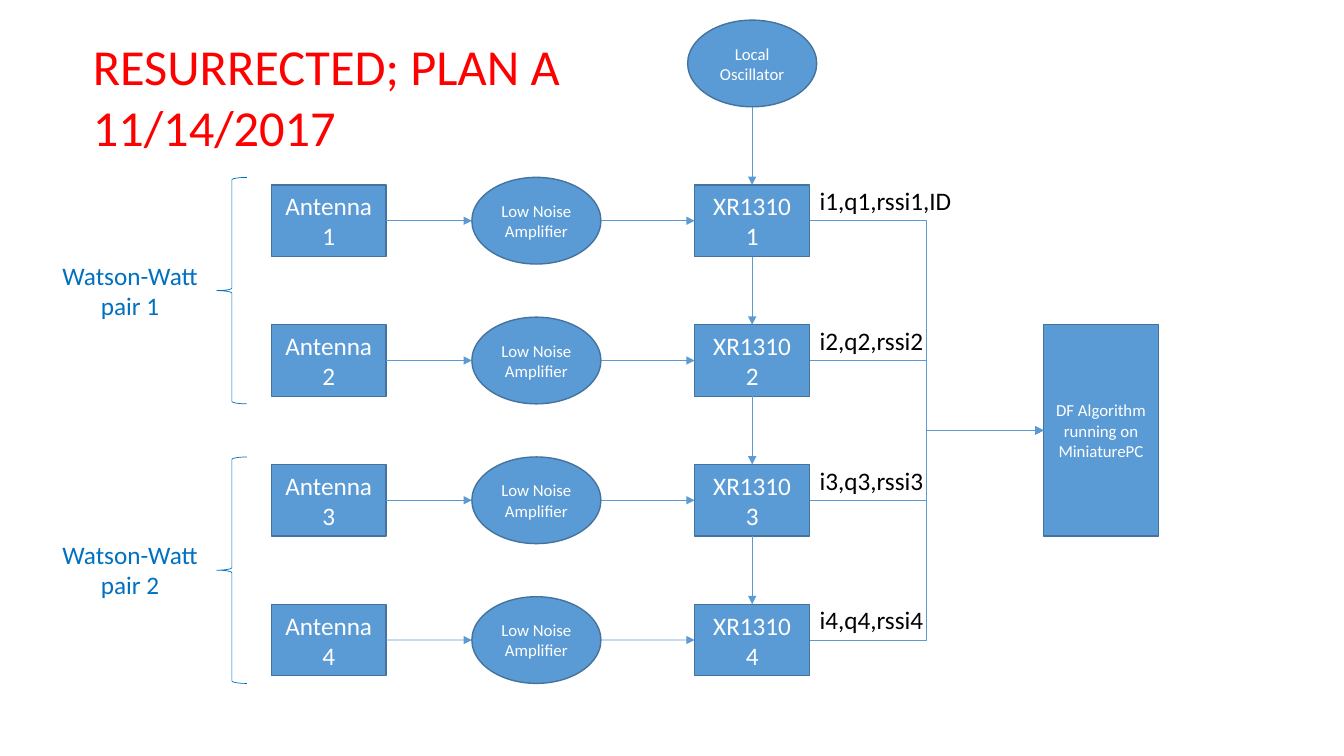
from dataclasses import dataclass
from typing import NamedTuple

from pptx import Presentation
from pptx.dml.color import RGBColor
from pptx.enum.shapes import MSO_CONNECTOR, MSO_SHAPE
from pptx.enum.text import MSO_ANCHOR, MSO_AUTO_SIZE, PP_ALIGN
from pptx.oxml.ns import qn
from pptx.util import Inches, Pt

RECTANGLE, OVAL, LEFT_BRACE = MSO_SHAPE.RECTANGLE, MSO_SHAPE.OVAL, MSO_SHAPE.LEFT_BRACE
STRAIGHT, ELBOW = MSO_CONNECTOR.STRAIGHT, MSO_CONNECTOR.ELBOW
LEFT, CENTER = PP_ALIGN.LEFT, PP_ALIGN.CENTER
TOP, MIDDLE = MSO_ANCHOR.TOP, MSO_ANCHOR.MIDDLE
NORTH, WEST, SOUTH, EAST = range(4)


@dataclass(frozen=True)
class Theme:
    font: str = "Calibri"
    fill: str = "5B9BD5"
    outline: str = "43739E"
    accent: str = "0070C0"
    title: str = "FF0000"
    light: str = "FFFFFF"
    dark: str = "000000"
    title_size: int = 36
    text_size: int = 18
    small_size: int = 12
    outline_width: float = 1
    thin_width: float = 0.5


class Box(NamedTuple):
    left: float
    top: float
    width: float
    height: float

    @classmethod
    def around(cls, x, y, size):
        return cls(x - size[0] / 2, y - size[1] / 2, *size)

    def lengths(self):
        return [Inches(value) for value in self]


THEME = Theme()
BLOCK_SIZE = (1.14, 0.71)
OVAL_SIZE = (1.28, 0.86)
ANTENNA_X, AMPLIFIER_X, TUNER_X, PROCESSOR_X = 3.26, 5.32, 7.46, 10.92
FIRST_ROW, LAST_ROW = 2.19, 6.35
ROW_COUNT = 4
PITCH = (LAST_ROW - FIRST_ROW) / (ROW_COUNT - 1)
ROWS = [FIRST_ROW + PITCH * row for row in range(ROW_COUNT)]
OUTPUTS = ["i1,q1,rssi1,ID", "i2,q2,rssi2", "i3,q3,rssi3", "i4,q4,rssi4"]


def write(shape, text, size, color, align=CENTER, anchor=MIDDLE, side_margin=0.1):
    frame = shape.text_frame
    frame.text = text
    frame_format = {"word_wrap": True, "auto_size": MSO_AUTO_SIZE.NONE,
                    "vertical_anchor": anchor,
                    "margin_left": Inches(side_margin), "margin_right": Inches(side_margin),
                    "margin_top": Inches(0.05), "margin_bottom": Inches(0.05)}
    for name, value in frame_format.items():
        setattr(frame, name, value)
    for para in frame.paragraphs:
        para.alignment = align
        for span in para.runs:
            for name, value in {"name": THEME.font, "size": Pt(size)}.items():
                setattr(span.font, name, value)
            span.font.color.rgb = RGBColor.from_string(color)


def stroke(line, color, width):
    line.color.rgb = RGBColor.from_string(color)
    line.width = Pt(width)


def add_block(page, kind, box, text, size):
    block = page.shapes.add_shape(kind, *box.lengths())
    block.shadow.inherit = False
    block.fill.solid()
    block.fill.fore_color.rgb = RGBColor.from_string(THEME.fill)
    stroke(block.line, THEME.outline, THEME.outline_width)
    write(block, text, size, THEME.light, side_margin=0.05 if kind == OVAL else 0.1)
    return block


def add_label(page, box, text, color, align):
    label = page.shapes.add_textbox(*box.lengths())
    write(label, text, THEME.text_size, color, align, TOP)


def side_point(shape, side):
    share_x, share_y = {NORTH: (0.5, 0), WEST: (0, 0.5), SOUTH: (0.5, 1), EAST: (1, 0.5)}[side]
    return (shape.left + int(shape.width * share_x), shape.top + int(shape.height * share_y))


def link(page, source, source_side, target, target_side, kind=STRAIGHT):
    """Draw an arrow between two sides, joined wherever the shape is a rectangle."""
    arrow = page.shapes.add_connector(
        kind, *side_point(source, source_side), *side_point(target, target_side))
    if source.auto_shape_type == RECTANGLE:
        arrow.begin_connect(source, source_side)
    if target.auto_shape_type == RECTANGLE:
        arrow.end_connect(target, target_side)
    stroke(arrow.line, THEME.fill, THEME.thin_width)
    properties = arrow._element.spPr
    head = properties.find(qn("a:ln")).makeelement(qn("a:tailEnd"), {"type": "triangle"})
    properties.find(qn("a:ln")).append(head)
    properties.append(properties.makeelement(qn("a:effectLst"), {}))


def place_title(page, box):
    title = page.shapes.title
    title.left, title.top, title.width, title.height = box.lengths()
    write(title, "RESURRECTED; PLAN A 11/14/2017", THEME.title_size, THEME.title, LEFT, TOP)


def draw_pair(page, box, number):
    """Fill the box with a pair label and a brace along its right edge."""
    brace_width, label_width, label_height = 0.3, 1.56, 0.71
    brace = page.shapes.add_shape(
        LEFT_BRACE,
        *Box(box.left + box.width - brace_width, box.top, brace_width, box.height).lengths())
    brace.shadow.inherit = False
    brace.fill.background()
    stroke(brace.line, THEME.accent, THEME.thin_width)
    label_top = box.top + (box.height - label_height) / 2
    add_label(page, Box(box.left, label_top, label_width, label_height),
              f"Watson-Watt\vpair {number}", THEME.accent, CENTER)


def draw_channel(page, y, number, output):
    """Draw one receiver row centred on y and return its tuner."""
    antenna = add_block(page, RECTANGLE, Box.around(ANTENNA_X, y, BLOCK_SIZE),
                        f"Antenna {number}", THEME.text_size)
    amplifier = add_block(page, OVAL, Box.around(AMPLIFIER_X, y, OVAL_SIZE),
                          "Low Noise\nAmplifier", THEME.small_size)
    tuner_box = Box.around(TUNER_X, y, BLOCK_SIZE)
    tuner = add_block(page, RECTANGLE, tuner_box, f"XR1310 {number}", THEME.text_size)
    link(page, antenna, EAST, amplifier, WEST)
    link(page, amplifier, EAST, tuner, WEST)
    add_label(page, Box(tuner_box.left + tuner_box.width, y - 0.4, 1.59, 0.4),
              output, THEME.dark, LEFT)
    return tuner


def draw_diagram(page):
    for index in range(ROW_COUNT // 2):
        top = ROWS[2 * index] - OVAL_SIZE[1] / 2
        draw_pair(page, Box(0.51, top, 1.94, PITCH + OVAL_SIZE[1]), index + 1)

    oscillator = add_block(page, OVAL, Box.around(TUNER_X, 0.63, OVAL_SIZE),
                           "Local\nOscillator", THEME.small_size)
    processor_size = (BLOCK_SIZE[0], PITCH + BLOCK_SIZE[1])
    processor = add_block(
        page, RECTANGLE, Box.around(PROCESSOR_X, (FIRST_ROW + LAST_ROW) / 2, processor_size),
        "DF Algorithm running on MiniaturePC", THEME.small_size)

    clock_source = oscillator
    for number, (y, output) in enumerate(zip(ROWS, OUTPUTS), 1):
        tuner = draw_channel(page, y, number, output)
        link(page, clock_source, SOUTH, tuner, NORTH)
        link(page, tuner, EAST, processor, WEST, ELBOW)
        clock_source = tuner


def main():
    deck = Presentation()
    deck.slide_width, deck.slide_height = Inches(13.33), Inches(7.5)
    page = deck.slides.add_slide(deck.slide_layouts.get_by_name("Title Only"))
    place_title(page, Box(0.82, 0.3, 5.27, 1.31))
    draw_diagram(page)
    deck.save("out.pptx")


if __name__ == "__main__":
    main()
